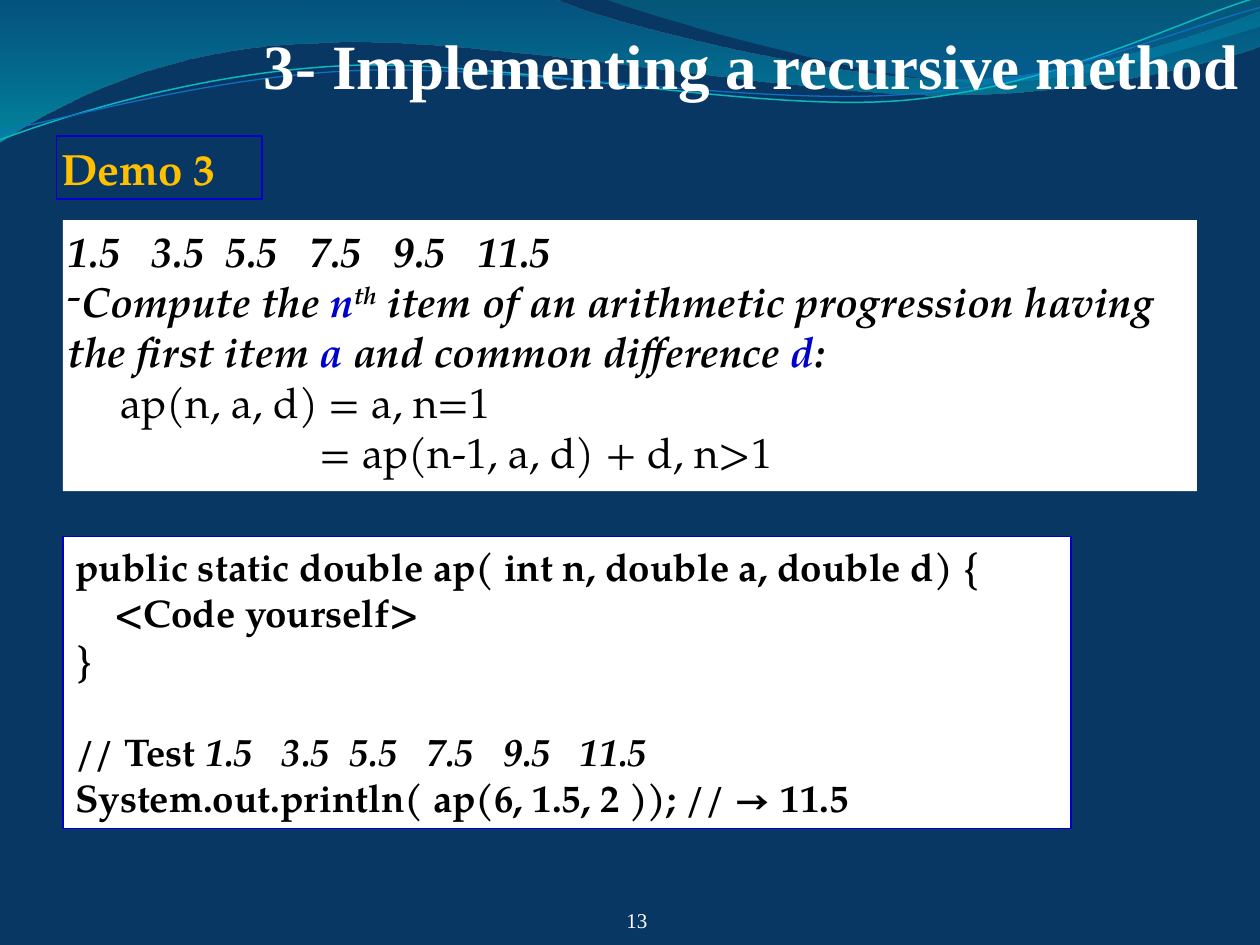
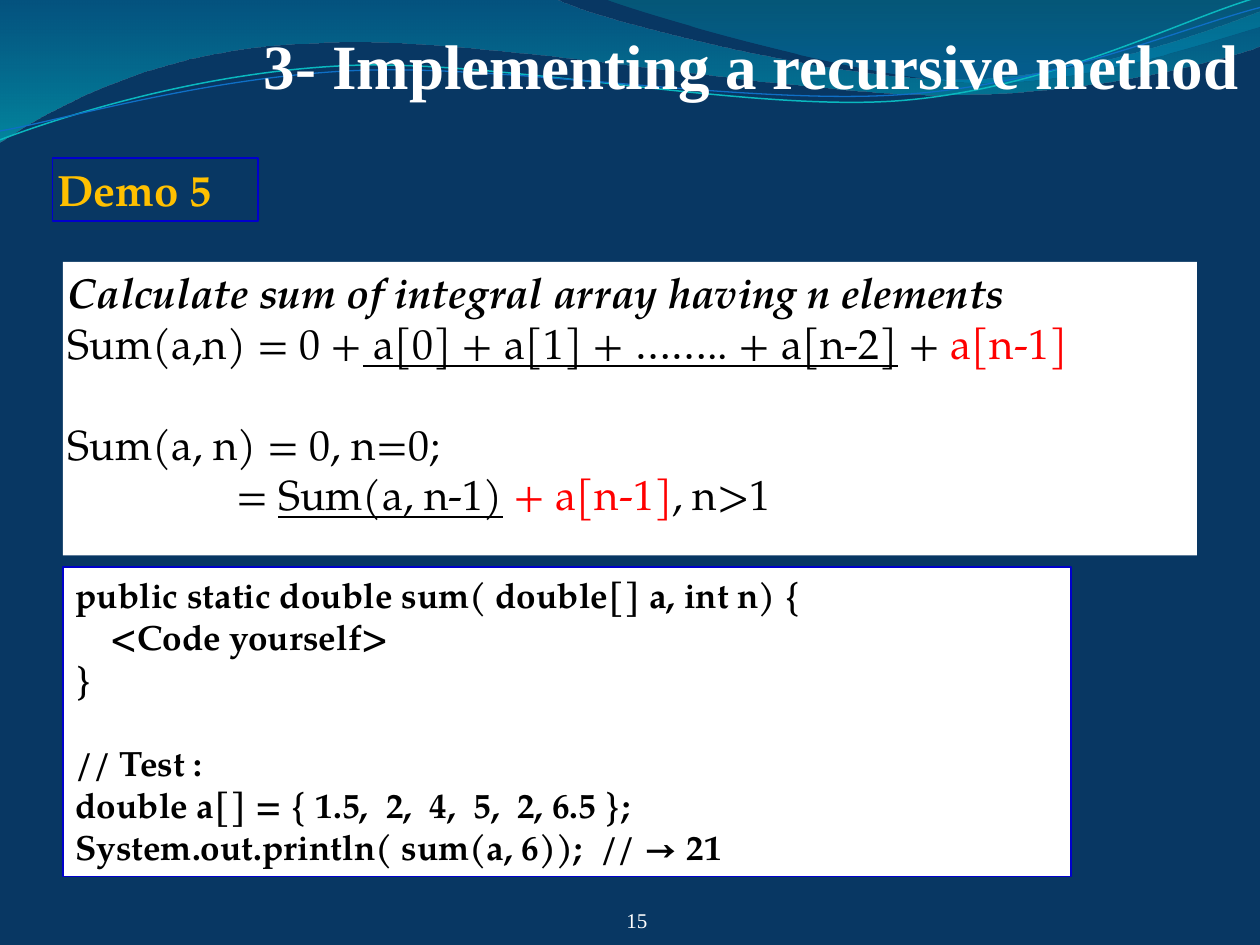
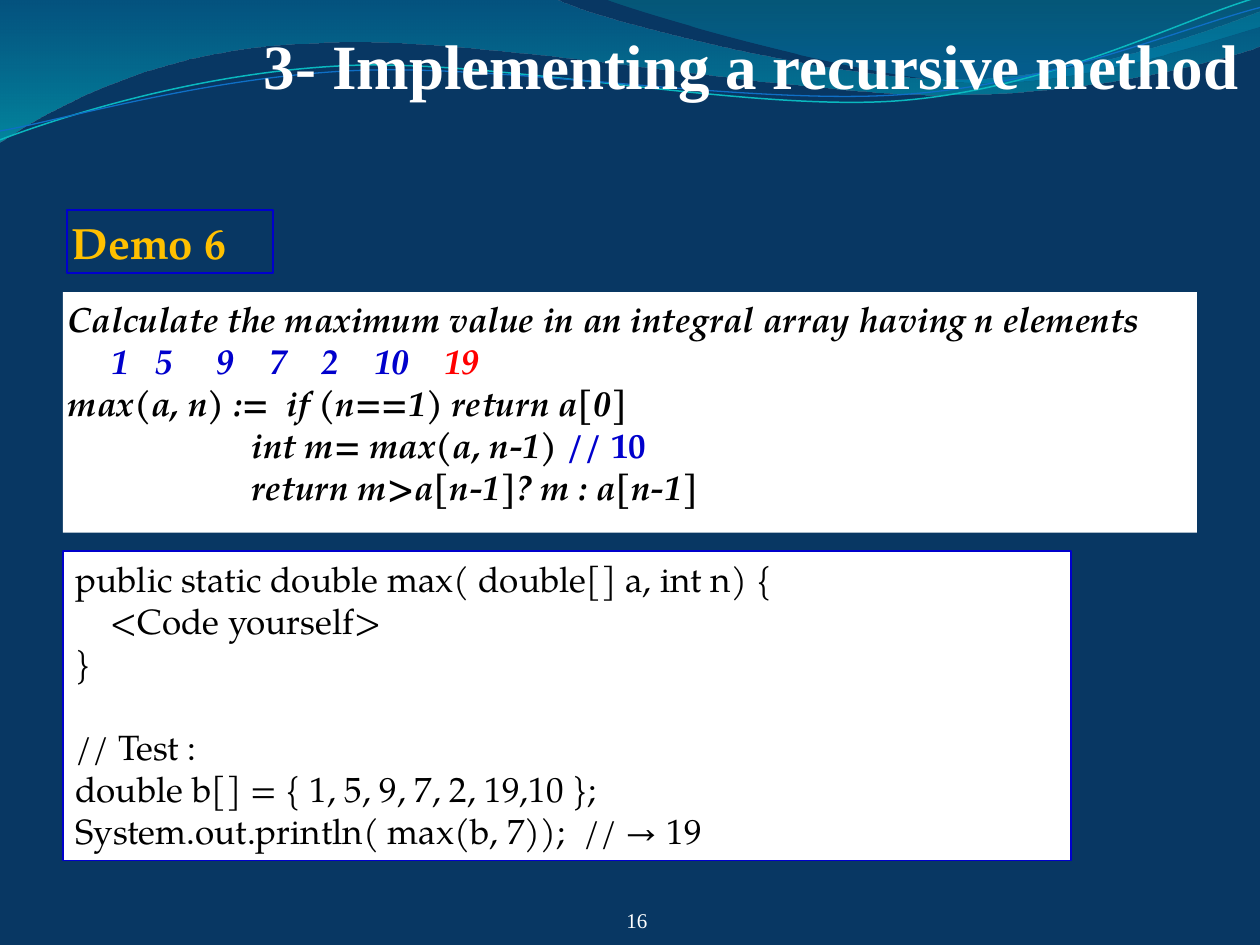
from dataclasses import dataclass
from math import cos, radians, sin

from lxml.etree import SubElement as Sub
from pptx import Presentation
from pptx.dml.color import RGBColor as Rgb
from pptx.enum.shapes import MSO_SHAPE as Kind
from pptx.enum.text import MSO_ANCHOR as Anchor, MSO_AUTO_SIZE as Fit, PP_ALIGN as Align
from pptx.oxml.ns import qn
from pptx.util import Cm, Pt


@dataclass(frozen=True)
class Theme:
    back: str = "083763"
    white: str = "FFFFFF"
    black: str = "000000"
    blue: str = "0000CC"
    red: str = "FF0000"
    gold: str = "FFC000"
    serif: str = "Times New Roman"
    book: str = "TeX Gyre Pagella"
    title: int = 36
    tag: int = 25
    large: int = 24
    mid: int = 22
    small: int = 20
    foot: int = 12
    lead: float = 1.2  # line height per point of type
    space: float = 0.25  # width of a space per point of type


T = Theme()
THIN = (0.1, 0.1, 0.1, 0.1)
WIDE = (0.25, 0.13, 0.25, 0.13)

# Run formats
BLUE, RED = {"color": T.blue}, {"color": T.red}
LINED = {"underline": True}
BOLD = {"bold": True}
SLANT = {"bold": True, "italic": True}
PLAIN = {"bold": False, "italic": False}

# Wave outlines in tenths of the slide width: 2 numbers a line, 6 a curve
BANDS = [
    ([(0, 0), (4.4, -0.01), (4.76, 0.17, 6.64, 0.63, 7.58, 0.63),
      (8.53, 0.63, 9.58, 0.26, 10, 0.09), (10.01, 0.36),
      (9.83, 0.44, 8.7, 0.76, 7.46, 0.75), (6.22, 0.75, 3.82, 0.28, 2.57, 0.34),
      (1.29, 0.36, 0.46, 0.83, -0.01, 1.13)],
     [(0, "0074A1", 45), (1, "00C6CF", 55)]),
    ([(4.79, -0.01), (5.09, 0.11, 6.82, 0.62, 7.69, 0.65),
      (8.56, 0.69, 9.61, 0.32, 10, 0.21), (10, 0)],
     [(0, "00A1A9", 30), (0.8, "008BBF", 45)]),
]
TILT = -2.7
CURVES = [
    ([(0, 1.11), (0.48, 0.93, 1.58, 0.57, 2.77, 0.52),
      (3.95, 0.47, 5.93, 0.89, 7.13, 0.8), (8.33, 0.71, 9.38, 0.15, 9.98, -0.02)],
     (4.99, 0.57), "0AB8BF", 0.85),
    ([(0, 1.04), (0.47, 0.96, 1.64, 0.61, 2.83, 0.56),
      (4.03, 0.51, 5.97, 0.84, 7.17, 0.75), (8.36, 0.67, 9.41, 0.21, 10, 0.06)],
     (5, 0.59), "0F6FC6", 0.75),
]


def pairs(part):
    return list(zip(part[::2], part[1::2]))


def turn(parts, mid, angle):
    """Rotate an outline about a point."""
    c, s = cos(radians(angle)), sin(radians(angle))
    return [sum(((mid[0] + (x - mid[0]) * c - (y - mid[1]) * s,
                  mid[1] + (x - mid[0]) * s + (y - mid[1]) * c)
                 for x, y in pairs(part)), ()) for part in parts]


def outline(shapes, parts, close):
    """Build a freeform on the end points, then bend its curved sides."""
    spots = [[(Cm(2.54 * x), Cm(2.54 * y)) for x, y in pairs(part)] for part in parts]
    pen = shapes.build_freeform(*spots[0][0])
    pen.add_line_segments([spot[-1] for spot in spots[1:]], close=close)
    shape = pen.convert_to_shape()
    shape.shadow.inherit = False
    sides = list(shape.element.iter(qn("a:lnTo")))
    for side, spot in zip(sides, spots[1:]):
        if len(spot) == 1:
            continue
        bend = Sub(side.getparent(), qn("a:cubicBezTo"))
        for x, y in spot:
            Sub(bend, qn("a:pt"), x=str(x - shape.left), y=str(y - shape.top))
        side.getparent().replace(side, bend)
    return shape


def waves(slide, layout):
    """Draw the header waves and hand them to the layout."""
    made = []
    for parts, stops in BANDS:
        band = outline(slide.shapes, parts, True)
        band.line.fill.background()
        band.fill.gradient()
        band.fill.gradient_angle = 270
        for stop, (at, color, _) in zip(band.fill.gradient_stops, stops):
            stop.position = at
            stop.color.rgb = Rgb.from_string(color)
        for node, (_, _, alpha) in zip(band.element.iter(qn("a:srgbClr")), stops):
            Sub(node, qn("a:alpha"), val=str(alpha * 1000))
        made.append(band)
    for parts, mid, color, width in CURVES:
        curve = outline(slide.shapes, turn(parts, mid, -TILT), False)
        curve.rotation = TILT
        curve.fill.background()
        curve.line.color.rgb = Rgb.from_string(color)
        curve.line.width = Pt(width)
        made.append(curve)
    for i, shape in enumerate(made):
        shape.element.nvSpPr.cNvPr.set("id", str(100 + i))
        layout.shapes.element.insert(2 + i, shape.element)


def style(font, look):
    for key, value in look.items():
        if key == "color":
            font.color.rgb = Rgb.from_string(value)
        else:
            setattr(font, key, value)


def place(shape, box):
    for key, value in zip(("left", "top", "width", "height"), box):
        setattr(shape, key, Cm(value))


def line(*runs, left=0, gap=0, dash=False):
    """One paragraph: runs are strings or (text, format) pairs."""
    return runs, left, gap, dash


def row(words, gaps, look):
    """Runs of words, set apart by spaces stretched to the given counts."""
    runs = []
    for word, gap in zip(words.split(), (*gaps, 0)):
        runs.append((word, look))
        if gap:
            runs.append((" ", {**look, "wide": gap}))
    return runs


def write(shape, lines, size, look, pads, anchor=Anchor.TOP, align=Align.LEFT):
    frame = shape.text_frame
    frame.word_wrap, frame.auto_size = True, Fit.NONE
    frame.vertical_anchor = anchor
    for side, pad in zip(("left", "top", "right", "bottom"), pads):
        setattr(frame, "margin_" + side, Cm(pad))
    for i, (runs, left, gap, dash) in enumerate(lines):
        para = frame.add_paragraph() if i else frame.paragraphs[0]
        para.alignment = align
        para.space_before = Pt(gap * size * T.lead)
        props = para._p.get_or_add_pPr()
        props.set("marL", str(Cm(left)))
        props.set("indent", "0")
        if dash:
            Sub(props, qn("a:buFont"), typeface=T.book)
            Sub(props, qn("a:buChar"), char="-")
        for part in runs:
            text, extra = (part, {}) if isinstance(part, str) else part
            extra = dict(extra)
            lift, wide = extra.pop("lift", 0), extra.pop("wide", 1)
            run = para.add_run()
            run.text = text
            style(run.font, {"size": Pt(size), "name": T.book, "color": T.black, **look, **extra})
            if lift:
                run.font._element.set("baseline", str(lift * 1000))
            if wide > 1:
                run.font._element.set("spc", str(int((wide - 1) * T.space * size * 100)))


def panel(slide, box, fill=None, edge=None):
    shape = slide.shapes.add_shape(Kind.RECTANGLE, *map(Cm, box))
    shape.shadow.inherit = False
    if fill:
        shape.fill.solid()
        shape.fill.fore_color.rgb = Rgb.from_string(fill)
    else:
        shape.fill.background()
    if edge:
        shape.line.color.rgb = Rgb.from_string(T.blue)
        shape.line.width = Pt(edge)
    else:
        shape.line.fill.background()
    return shape


def head(slide, box):
    place(slide.shapes.title, box)
    write(slide.shapes.title, [line("3- Implementing a recursive method")], T.title,
          {"name": T.serif, "color": T.white, "bold": True},
          (0, 0.1, 0, 0), Anchor.BOTTOM, Align.RIGHT)


def tag(slide, left, top, text):
    write(panel(slide, (left, top, 4.15, 1.27), edge=1), [line(text)], T.tag,
          {"color": T.gold, "bold": True}, THIN, Anchor.MIDDLE)


def task(slide, top, high, lines, size, look):
    write(panel(slide, (1.27, top, 22.86, high), T.white), lines, size, look, THIN)


def code(slide, top, high, lines, size, look):
    write(panel(slide, (1.27, top, 20.32, high), T.white, 0.75), lines, size, look, WIDE)


def foot(slide, box, number):
    write(slide.shapes.add_textbox(*map(Cm, box)), [line(str(number))], T.foot,
          {"name": T.serif, "color": T.white}, (0, 0, 0, 0), Anchor.BOTTOM, Align.RIGHT)


def body(sign, left, *test):
    """A method to fill in, followed by its test lines."""
    return [line(sign), line("<Code yourself>", left=left), line("}"), *test]


SERIES = row("1.5 3.5 5.5 7.5 9.5 11.5", (3, 2, 3, 3, 3), SLANT)

DEMOS = [
    dict(number=13, tag=(1.14, 2.75, "Demo 3"),
         task=(4.44, 5.46, [
             line(*SERIES),
             line("Compute the ", ("n", BLUE), ("th", {"lift": 30}),
                  " item of an arithmetic progression having the first item ",
                  ("a", BLUE), " and common difference ", ("d", BLUE), ":", dash=True),
             line(("ap(n, a, d) = a, n=1", PLAIN), left=1.06),
             line(("= ap(n-1, a, d) + d, n>1", PLAIN), left=5.08),
         ], T.large, SLANT),
         code=(10.82, 5.89, body(
             "public static double ap( int n, double a, double d) {", 0.78,
             line("// Test ", *SERIES, gap=1),
             line("System.out.println( ap(6, 1.5, 2 )); // → 11.5"),
         ), T.mid, BOLD)),
    dict(number=15, tag=(1.06, 3.18, "Demo 5"),
         task=(5.28, 5.92, [
             line(("Calculate sum of integral array having n elements", SLANT)),
             line("Sum(a,n) = 0 +", (" a[0] + a[1] + …….. + a[n-2]", LINED),
                  " + ", ("a[n-1]", RED)),
             line("Sum(a, n) = 0, n=0;", gap=1),
             line("= ", ("Sum(a, n-1)", LINED), " ", ("+ a[n-1]", RED), ", n>1", left=3.39),
         ], T.large, {}),
         code=(11.43, 6.24, body(
             "public static double sum( double[] a, int n) {", 0.71,
             line("// Test :", gap=1),
             line("double a[] = { 1.5,  2,  4,  5,  2, 6.5 };"),
             line("System.out.println( sum(a, 6));  // → 21"),
         ), T.small, BOLD)),
    dict(number=16, tag=(1.35, 4.24, "Demo 6"),
         task=(5.89, 4.85, [
             line("Calculate the maximum value in an integral array having n elements"),
             line(*row("1 5 9 7 2 10", (3, 5, 4, 4, 4), BLUE),
                  (" ", {"wide": 4}), ("19", RED), left=0.88),
             line("max(a, n) :=  if (n==1) return a[0]"),
             line("int m= max(a, n-1) ", ("// 10", {**BLUE, "italic": False}), left=3.7),
             line("return m>a[n-1]? m : a[n-1]", left=3.7),
         ], T.small, SLANT),
         code=(11.11, 6.24, body(
             "public static double max( double[] a, int n) {", 0.71,
             line("// Test :", gap=1),
             line("double b[] = { 1, 5, 9, 7, 2, 19,10 };"),
             line("System.out.println( max(b, 7));  // → 19"),
         ), T.small, {})),
]


def main():
    deck = Presentation()
    deck.slide_width, deck.slide_height = Cm(25.4), Cm(19.05)
    back = deck.slide_master.background.fill
    back.solid()
    back.fore_color.rgb = Rgb.from_string(T.back)
    layout = deck.slide_layouts[5]
    for i, demo in enumerate(DEMOS):
        slide = deck.slides.add_slide(layout)
        if i == 0:
            waves(slide, layout)
        head(slide, (1.27, 0.2, 23.71, 1.85))
        tag(slide, *demo["tag"])
        task(slide, *demo["task"])
        code(slide, *demo["code"])
        foot(slide, (12.34, 18.06, 0.71, 0.74), demo["number"])
    deck.save("out.pptx")


main()
